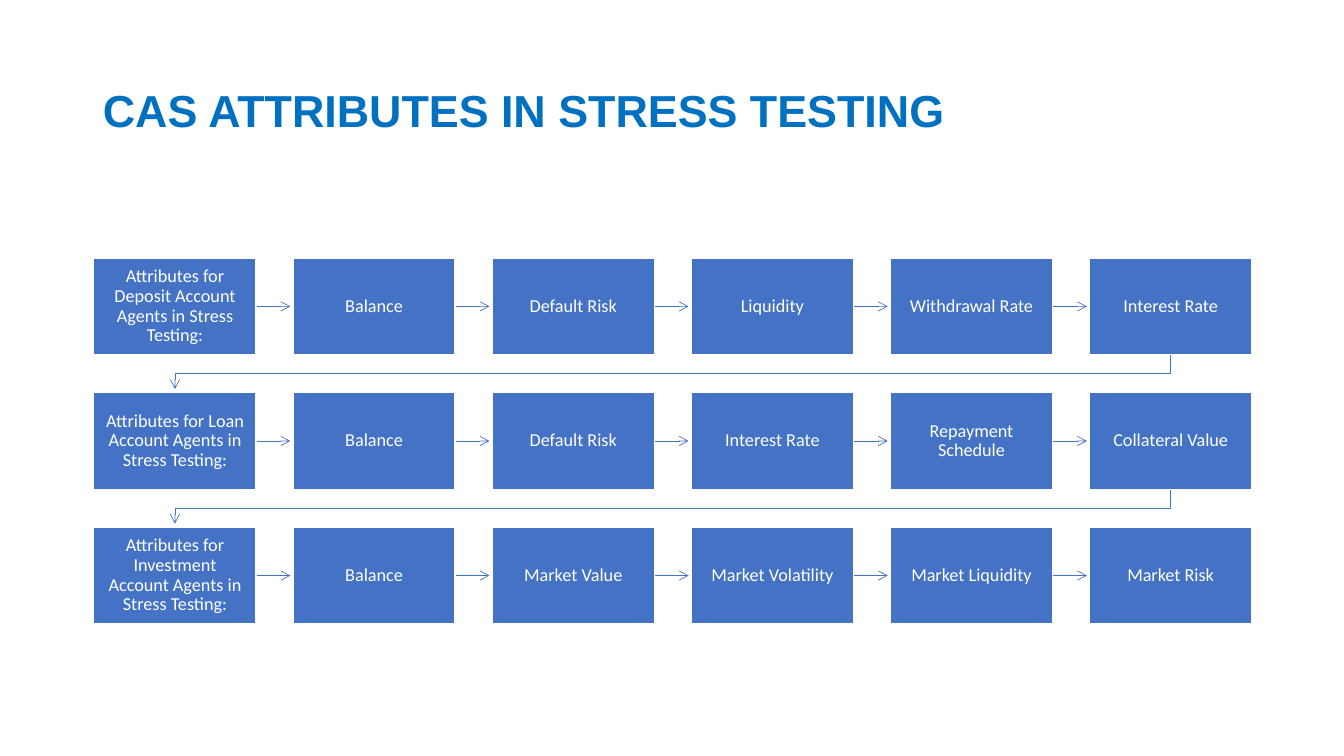
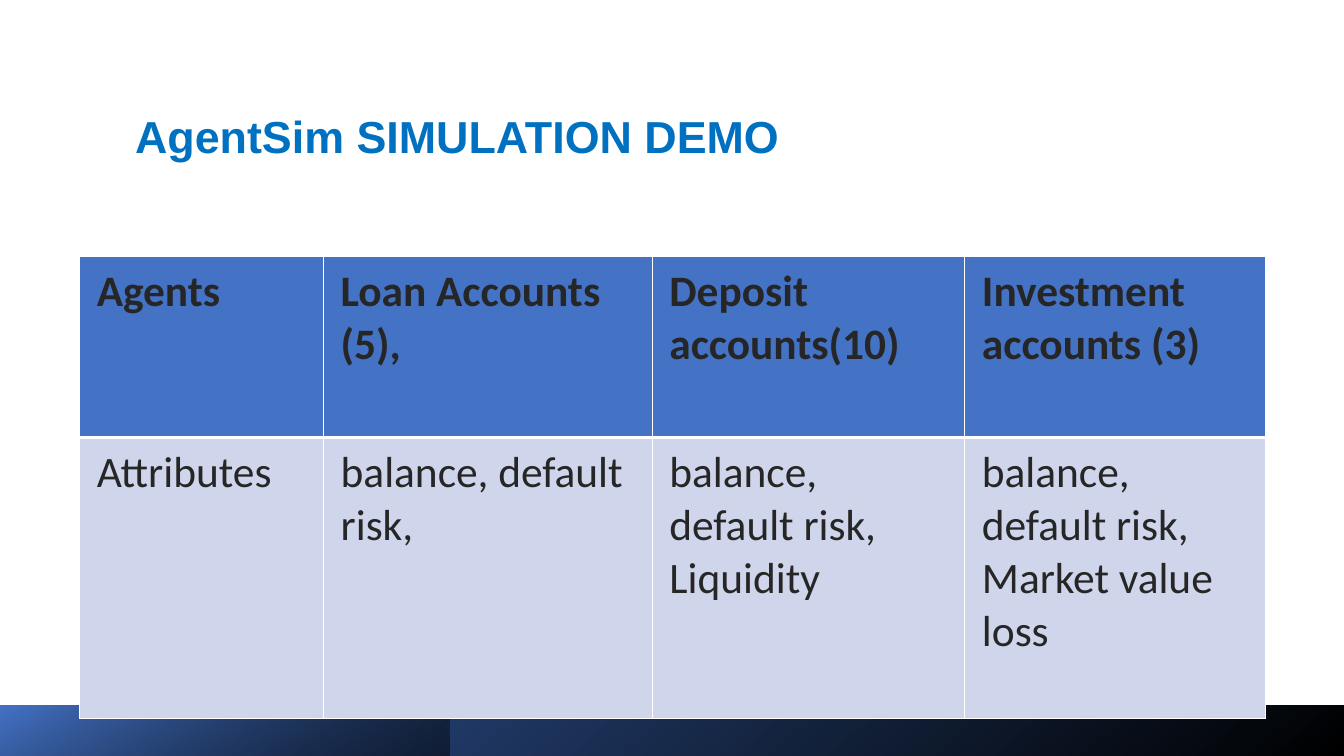
from lxml import etree
from pptx import Presentation
from pptx.dml.color import RGBColor
from pptx.enum.shapes import MSO_CONNECTOR, MSO_SHAPE
from pptx.enum.text import MSO_ANCHOR, PP_ALIGN
from pptx.oxml.ns import qn
from pptx.util import Inches, Pt

RECTANGLE = MSO_SHAPE.RECTANGLE
STRAIGHT = MSO_CONNECTOR.STRAIGHT
MIDDLE = MSO_ANCHOR.MIDDLE
LEFT, CENTER = PP_ALIGN.LEFT, PP_ALIGN.CENTER

TITLE_BLUE = RGBColor(0x00, 0x70, 0xC0)
BLUE = RGBColor(0x44, 0x72, 0xC4)
DARK_BLUE = RGBColor(0x2F, 0x55, 0x97)
PALE_BLUE = RGBColor(0xCF, 0xD5, 0xEA)
INK = RGBColor(0x26, 0x26, 0x26)
BLACK = RGBColor(0x00, 0x00, 0x00)
WHITE = RGBColor(0xFF, 0xFF, 0xFF)

TITLE_FONT, BODY_FONT = "Arial", "Calibri"
TITLE_ONLY = 5


class Deck:
    def __init__(self):
        self.presentation = Presentation()
        self.presentation.slide_width = Inches(13.33)
        self.presentation.slide_height = Inches(7.5)
        self.slide = None

    def add_slide(self, title, left, top, width, height):
        layout = self.presentation.slide_layouts[TITLE_ONLY]
        self.slide = self.presentation.slides.add_slide(layout)
        shape = self.slide.shapes.title
        shape.left, shape.top = Inches(left), Inches(top)
        shape.width, shape.height = Inches(width), Inches(height)
        frame = shape.text_frame
        frame.text = title
        frame.word_wrap = True
        frame.vertical_anchor = MIDDLE
        paragraph = frame.paragraphs[0]
        paragraph.alignment = LEFT
        paragraph.line_spacing = 0.9
        self.set_font(paragraph, TITLE_FONT, 32, TITLE_BLUE, True)

    def set_font(self, paragraph, name, size, color, bold=False):
        font = paragraph.font
        font.name, font.size, font.bold = name, Pt(size), bold
        font.color.rgb = color

    def add_rectangle(self, left, top, width, height):
        shape = self.slide.shapes.add_shape(
            RECTANGLE, Inches(left), Inches(top), Inches(width), Inches(height))
        shape.shadow.inherit = False
        return shape

    def add_box(self, text, left, top, width, height):
        shape = self.add_rectangle(left, top, width, height)
        shape.fill.solid()
        shape.fill.fore_color.rgb = BLUE
        shape.line.color.rgb = WHITE
        shape.line.width = Pt(1)
        frame = shape.text_frame
        frame.margin_left = frame.margin_right = Inches(0.08)
        frame.margin_top = frame.margin_bottom = Inches(0.08)
        frame.word_wrap = True
        frame.vertical_anchor = MIDDLE
        frame.text = text
        paragraph = frame.paragraphs[0]
        paragraph.alignment = CENTER
        paragraph.line_spacing = 0.9
        self.set_font(paragraph, BODY_FONT, 13, WHITE)

    def add_band(self, width, end_color, angle, end_position=1, start_alpha=None):
        shape = self.add_rectangle(0, 7, width, 0.51)
        shape.line.fill.background()
        shape.fill.gradient()
        shape.fill.gradient_angle = 360 - angle
        start, end = shape.fill.gradient_stops
        start.color.rgb, start.position = BLACK, 0
        end.color.rgb, end.position = end_color, end_position
        if start_alpha is not None:
            color = shape.element.spPr.find(".//" + qn("a:srgbClr"))
            etree.SubElement(color, qn("a:alpha"), val=str(start_alpha * 1000))

    def style_arrow(self, shape):
        shape.line.color.rgb = BLUE
        shape.line.width = Pt(0.5)
        line = shape.element.spPr.find(qn("a:ln"))
        etree.SubElement(line, qn("a:tailEnd"), type="arrow")

    def add_arrow(self, left, top, length):
        connector = self.slide.shapes.add_connector(
            STRAIGHT, Inches(left), Inches(top), Inches(left + length), Inches(top))
        self.style_arrow(connector)
        etree.SubElement(connector.element.spPr, qn("a:effectLst"))

    def add_bent_arrow(self, points):
        corners = [(Inches(x), Inches(y)) for x, y in points]
        builder = self.slide.shapes.build_freeform(*corners[0])
        builder.add_line_segments(corners[1:], close=False)
        shape = builder.convert_to_shape()
        shape.shadow.inherit = False
        shape.fill.background()
        self.style_arrow(shape)

    def add_table(self, rows, left, top, widths, heights):
        table = self.slide.shapes.add_table(
            len(rows), len(widths), Inches(left), Inches(top),
            Inches(sum(widths)), Inches(sum(heights))).table
        for column, width in zip(table.columns, widths):
            column.width = Inches(width)
        for row, height in zip(table.rows, heights):
            row.height = Inches(height)
        for row_index, texts in enumerate(rows):
            for column_index, text in enumerate(texts):
                self.fill_cell(table.cell(row_index, column_index), text, row_index == 0)

    def fill_cell(self, cell, text, header):
        cell.margin_left = cell.margin_right = Inches(0.17)
        cell.margin_top = cell.margin_bottom = Inches(0.09)
        cell.text = text
        self.set_font(cell.text_frame.paragraphs[0], BODY_FONT, 31, INK, header)
        thick_side = "B" if header else "T"
        for side in "LRTB":
            self.add_border(cell, side, 3 if side == thick_side else 1)
        cell.fill.solid()
        cell.fill.fore_color.rgb = BLUE if header else PALE_BLUE

    def add_border(self, cell, side, width):
        properties = cell._tc.get_or_add_tcPr()
        line = etree.SubElement(properties, qn("a:ln" + side), w=str(Pt(width)))
        fill = etree.SubElement(line, qn("a:solidFill"))
        etree.SubElement(fill, qn("a:srgbClr"), val=str(WHITE))


BOX_LEFT, BOX_TOP = 0.93, 2.56
BOX_WIDTH, BOX_HEIGHT = 1.61, 0.96
COLUMN_STEP, ROW_STEP = 1.975, 1.335
ARROW_LENGTH = 0.34

ATTRIBUTE_ROWS = [
    ["Attributes for Deposit Account Agents in Stress Testing:", "Balance",
     "Default Risk", "Liquidity", "Withdrawal Rate", "Interest Rate"],
    ["Attributes for Loan Account Agents in Stress Testing:", "Balance",
     "Default Risk", "Interest Rate", "Repayment Schedule", "Collateral Value"],
    ["Attributes for Investment Account Agents in Stress Testing:", "Balance",
     "Market Value", "Market Volatility", "Market Liquidity", "Market Risk"],
]

AGENT_ROWS = [
    ["Agents", "Loan Accounts (5),", "Deposit accounts(10)", "Investment accounts (3)"],
    ["Attributes", "balance, default risk,", "balance, default risk, Liquidity",
     "balance, default risk, Market value loss"],
]


def build_attributes(deck):
    deck.add_slide("CAS ATTRIBUTES IN STRESS TESTING", 0.92, 0.4, 11.5, 1.45)
    first_center = BOX_LEFT + BOX_WIDTH / 2
    for row_index, row in enumerate(ATTRIBUTE_ROWS):
        top = BOX_TOP + row_index * ROW_STEP
        bottom = top + BOX_HEIGHT
        for column_index, text in enumerate(row):
            left = BOX_LEFT + column_index * COLUMN_STEP
            if column_index < len(row) - 1:
                deck.add_arrow(left + BOX_WIDTH, top + BOX_HEIGHT / 2, ARROW_LENGTH)
            elif row_index < len(ATTRIBUTE_ROWS) - 1:
                last_center = left + BOX_WIDTH / 2
                turn = (bottom + top + ROW_STEP) / 2
                deck.add_bent_arrow([
                    (last_center, bottom), (last_center, turn),
                    (first_center, turn), (first_center, bottom + ARROW_LENGTH)])
            deck.add_box(text, left, top, BOX_WIDTH, BOX_HEIGHT)


def build_demo(deck):
    deck.add_slide("AgentSim SIMULATION DEMO", 1.24, 0.78, 11.13, 1.2)
    deck.add_band(13.33, DARK_BLUE, 230)
    deck.add_band(4.46, BLUE, 240, end_position=0.99, start_alpha=46)
    deck.add_table(AGENT_ROWS, 0.79, 2.54, [2.42, 3.26, 3.1, 2.98], [1.8, 2.79])


deck = Deck()
build_attributes(deck)
build_demo(deck)
deck.presentation.save("out.pptx")
